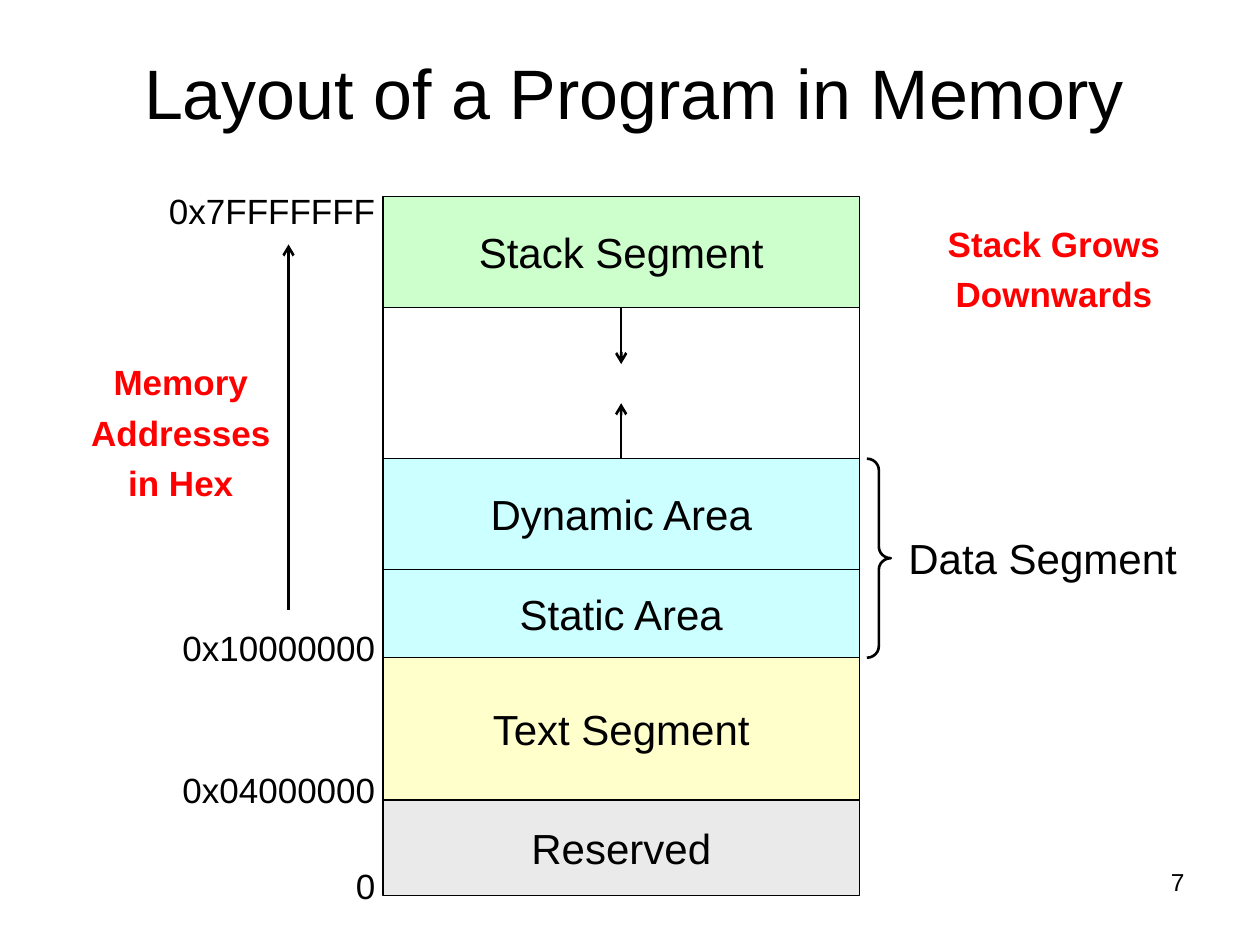
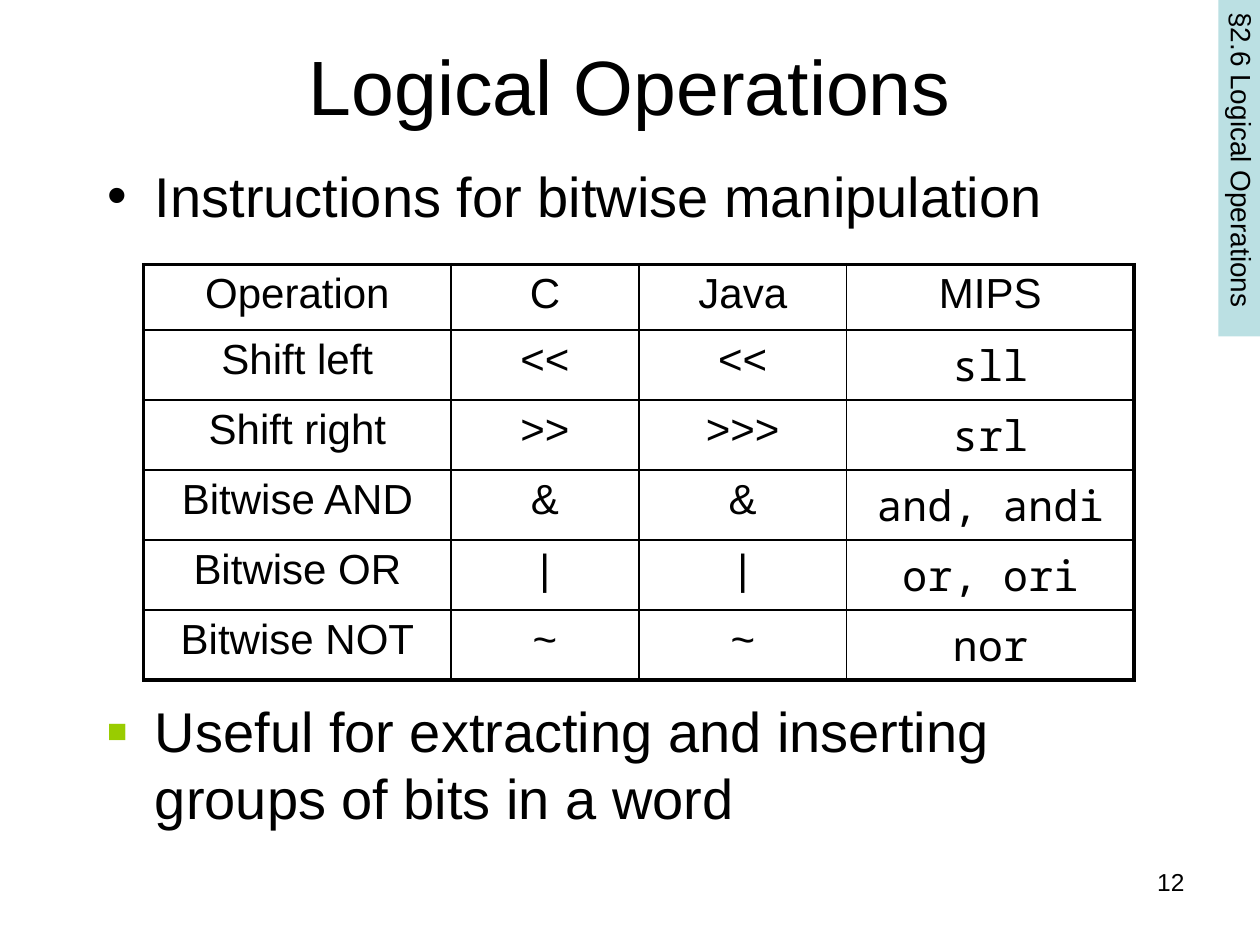
from dataclasses import dataclass
from typing import Optional

import pptx
import pptx.dml.color
import pptx.enum.dml
import pptx.enum.shapes
import pptx.enum.text
import pptx.oxml
import pptx.oxml.ns
import pptx.util
from pptx.util import Inches

# Shared style
COLORS = {
    "ink": "000000", "paper": "FFFFFF", "callout": "FF0000",
    "stack": "CCFFCC", "data": "CCFFFF", "text": "FFFFCC",
    "reserved": "EAEAEA", "tab": "BBE0E3", "square bullet": "99CC00",
}
SANS, MONO = "Arial", "Noto Sans Mono"
ALIGN = pptx.enum.text.PP_ALIGN
ANCHOR = pptx.enum.text.MSO_ANCHOR
SHAPE = pptx.enum.shapes.MSO_SHAPE
A_NS = pptx.oxml.ns.nsdecls("a")


@dataclass(frozen=True)
class Box:
    left: float
    top: float
    width: float
    height: float

    def emu(self) -> tuple:
        return tuple(Inches(v) for v in (self.left, self.top, self.width, self.height))


@dataclass(frozen=True)
class Segment:
    label: str
    height: float
    color: Optional[str]
    base_address: str = ""


@dataclass(frozen=True)
class Bullet:
    char: str
    color: str = "ink"
    percent: int = 100


def rgb(name: str) -> pptx.dml.color.RGBColor:
    return pptx.dml.color.RGBColor.from_string(COLORS[name])


def add_bullet(paragraph, bullet: Bullet) -> None:
    props = paragraph._p.get_or_add_pPr()
    props.set("marL", str(Inches(0.38)))
    props.set("indent", str(Inches(-0.38)))
    for tag in (f'<a:buClr {A_NS}><a:srgbClr val="{COLORS[bullet.color]}"/></a:buClr>',
                f'<a:buSzPct {A_NS} val="{bullet.percent * 1000}"/>',
                f'<a:buFont {A_NS} typeface="{SANS}"/>',
                f'<a:buChar {A_NS} char="{bullet.char}"/>'):
        props.append(pptx.oxml.parse_xml(tag))


def write_text(frame, text: str, *, size: int, color: str = "ink", font: str = SANS,
               bold: bool = False, align=ALIGN.CENTER, spacing: float = 1.0,
               bullet: Optional[Bullet] = None) -> None:
    """Fill a text frame, one paragraph for each line of the text."""
    for index, line in enumerate(text.split("\n")):
        paragraph = frame.add_paragraph() if index else frame.paragraphs[0]
        if bullet:
            add_bullet(paragraph, bullet)
        paragraph.alignment = align
        paragraph.line_spacing = spacing
        paragraph.space_before = pptx.util.Pt(0)
        run = paragraph.add_run()
        run.text = line
        run.font.size = pptx.util.Pt(size)
        run.font.name = font
        run.font.bold = bold
        run.font.color.rgb = rgb(color)


def set_frame(frame, anchor, margins: tuple = (0, 0)) -> None:
    frame.word_wrap = True
    frame.auto_size = pptx.enum.text.MSO_AUTO_SIZE.NONE
    frame.vertical_anchor = anchor
    frame.margin_left = frame.margin_right = Inches(margins[0])
    frame.margin_top = frame.margin_bottom = Inches(margins[1])


def add_label(slide, box: Box, text: str, *, anchor=ANCHOR.MIDDLE,
              margins: tuple = (0, 0), **text_format) -> None:
    frame = slide.shapes.add_textbox(*box.emu()).text_frame
    set_frame(frame, anchor, margins)
    write_text(frame, text, **text_format)


def add_block(slide, kind, box: Box, fill: Optional[str], line_width: float):
    block = slide.shapes.add_shape(kind, *box.emu())
    block.shadow.inherit = False
    if fill:
        block.fill.solid()
        block.fill.fore_color.rgb = rgb(fill)
    else:
        block.fill.background()
    if line_width:
        block.line.color.rgb = rgb("ink")
        block.line.width = pptx.util.Pt(line_width)
    else:
        block.line.fill.background()
    return block


def add_arrow(slide, x: float, start: float, end: float):
    """Draw a vertical arrow pointing from start to end."""
    arrow = slide.shapes.add_connector(
        pptx.enum.shapes.MSO_CONNECTOR.STRAIGHT,
        Inches(x), Inches(start), Inches(x), Inches(end))
    arrow.line.color.rgb = rgb("ink")
    arrow.line.width = pptx.util.Pt(1.5)
    props = arrow._element.spPr
    props.find(pptx.oxml.ns.qn("a:ln")).append(
        pptx.oxml.parse_xml(f'<a:tailEnd {A_NS} type="arrow"/>'))
    props.append(pptx.oxml.parse_xml(f"<a:effectLst {A_NS}/>"))
    return arrow


def fill_placeholder(placeholder, box: Box, text: str, anchor, **text_format) -> None:
    placeholder.left, placeholder.top, placeholder.width, placeholder.height = box.emu()
    set_frame(placeholder.text_frame, anchor, (0.1, 0.05))
    write_text(placeholder.text_frame, text, **text_format)


def start_slide(deck, layout: str, title: str, title_box: Box, title_size: int, number: int):
    slide = deck.slides.add_slide(deck.slide_layouts.get_by_name(layout))
    slide.background.fill.solid()
    slide.background.fill.fore_color.rgb = rgb("paper")
    fill_placeholder(slide.shapes.title, title_box, title, ANCHOR.MIDDLE, size=title_size)
    add_label(slide, Box(7.17, 6.83, 2.33, 0.52), str(number), anchor=ANCHOR.TOP,
              margins=(0.1, 0.05), size=14, align=ALIGN.RIGHT)
    return slide


# Memory layout, from the highest address down
SEGMENTS = [
    Segment("Stack Segment", 0.88, "stack"),
    Segment("", 1.2, None),
    Segment("Dynamic Area", 0.88, "data"),
    Segment("Static Area", 0.7, "data", "0x10000000"),
    Segment("Text Segment", 1.13, "text", "0x04000000"),
    Segment("Reserved", 0.76, "reserved", "0"),
]
MEMORY_LEFT, MEMORY_TOP, MEMORY_WIDTH = 3.04, 1.56, 3.78


def add_address(slide, top: float, address: str) -> None:
    add_label(slide, Box(1.28, top, 1.7, 0.31), address, anchor=ANCHOR.TOP,
              size=20, align=ALIGN.RIGHT)


def build_memory_slide(deck) -> None:
    slide = start_slide(deck, "Title Only", "Layout of a Program in Memory",
                        Box(0.53, 0.1, 9, 1.25), 40, 7)

    # Segments and their base addresses
    add_address(slide, MEMORY_TOP - 0.06, "0x7FFFFFFF")
    blocks = {}
    top = MEMORY_TOP
    for segment in SEGMENTS:
        block = add_block(slide, SHAPE.RECTANGLE,
                          Box(MEMORY_LEFT, top, MEMORY_WIDTH, segment.height),
                          segment.color, 0.75)
        blocks[segment.label] = block
        top += segment.height
        if segment.label:
            set_frame(block.text_frame, ANCHOR.MIDDLE)
            write_text(block.text_frame, segment.label, size=24)
        if segment.base_address:
            add_address(slide, top - 0.25, segment.base_address)

    # Growth of the stack and the dynamic area
    middle = MEMORY_LEFT + MEMORY_WIDTH / 2
    add_arrow(slide, middle, 2.44, 2.89).begin_connect(blocks["Stack Segment"], 2)
    add_arrow(slide, middle, 3.64, 3.2).begin_connect(blocks["Dynamic Area"], 0)

    # Data segment brace
    brace = add_block(slide, SHAPE.RIGHT_BRACE, Box(6.88, 3.64, 0.19, 1.58), None, 1.5)
    brace.adjustments[0] = 0.48
    add_label(slide, Box(7.14, 3.83, 2.27, 1.2), "Data Segment", size=24)

    # Address direction and red remarks
    add_arrow(slide, 2.29, 4.84, 1.94)
    for box, remark in ((Box(0.65, 2.7, 1.57, 1.39), "Memory\nAddresses\nin Hex"),
                        (Box(7.45, 1.63, 1.83, 0.94), "Stack Grows\nDownwards")):
        add_label(slide, box, remark, size=20, color="callout", bold=True, spacing=1.2)


# Logical operations
OPERATIONS = [
    ("Operation", "C", "Java", "MIPS"),
    ("Shift left", "<<", "<<", "sll"),
    ("Shift right", ">>", ">>>", "srl"),
    ("Bitwise AND", "&", "&", "and, andi"),
    ("Bitwise OR", "|", "|", "or, ori"),
    ("Bitwise NOT", "~", "~", "nor"),
]
COLUMN_WIDTHS = (2.44, 1.49, 1.65, 2.28)
ROW_HEIGHT = 0.52


def set_borders(cell, **widths: float) -> None:
    """Set the L, R, T and B border widths, in points and in that order."""
    for side, width in widths.items():
        cell._tc.get_or_add_tcPr().append(pptx.oxml.parse_xml(
            f'<a:ln{side} {A_NS} w="{pptx.util.Pt(width)}"><a:solidFill>'
            f'<a:srgbClr val="{COLORS["ink"]}"/></a:solidFill></a:ln{side}>'))


def add_operations_table(slide) -> None:
    rows, columns = len(OPERATIONS), len(COLUMN_WIDTHS)
    box = Box(1.14, 2.1, sum(COLUMN_WIDTHS), rows * ROW_HEIGHT)
    table = slide.shapes.add_table(rows, columns, *box.emu()).table
    table.first_row = table.horz_banding = False
    for column, width in zip(table.columns, COLUMN_WIDTHS):
        column.width = Inches(width)
    outer, header, inner = 2.25, 1.5, 1
    row_rules = [outer, header] + [inner] * (rows - 2) + [outer]
    column_rules = [outer] + [inner] * (columns - 1) + [outer]
    for r, operation in enumerate(OPERATIONS):
        table.rows[r].height = Inches(ROW_HEIGHT)
        for c, entry in enumerate(operation):
            cell = table.cell(r, c)
            set_borders(cell, L=column_rules[c], R=column_rules[c + 1],
                        T=row_rules[r], B=row_rules[r + 1])
            cell.fill.background()
            is_mips_code = r > 0 and c == columns - 1
            write_text(cell.text_frame, entry, size=24, font=MONO if is_mips_code else SANS)


def build_operations_slide(deck) -> None:
    slide = start_slide(deck, "Two Content", "Logical Operations",
                        Box(0.5, 0.05, 9, 1.25), 44, 12)

    # Points above and below the table
    points = (
        (1, Box(0.75, 1.23, 9.05, 0.76), "Instructions for bitwise manipulation", Bullet("•")),
        (2, Box(0.75, 5.48, 8.5, 1.18),
         "Useful for extracting and inserting groups of bits in a word",
         Bullet("■", "square bullet", 60)),
    )
    for index, box, point, bullet in points:
        fill_placeholder(slide.placeholders[index], box, point, ANCHOR.TOP,
                         size=32, align=ALIGN.LEFT, bullet=bullet)
    add_operations_table(slide)

    # Section tab on the right edge
    section_tab = add_block(slide, SHAPE.RECTANGLE, Box(8.52, 1.15, 2.67, 0.37), "tab", 0)
    section_tab.rotation = 90
    set_frame(section_tab.text_frame, ANCHOR.TOP, (0.1, 0.05))
    write_text(section_tab.text_frame, "§2.6 Logical Operations", size=16, align=ALIGN.LEFT)


def main() -> None:
    deck = pptx.Presentation()
    deck.slide_width, deck.slide_height = Inches(10), Inches(7.5)
    build_memory_slide(deck)
    build_operations_slide(deck)
    deck.save("out.pptx")


if __name__ == "__main__":
    main()
